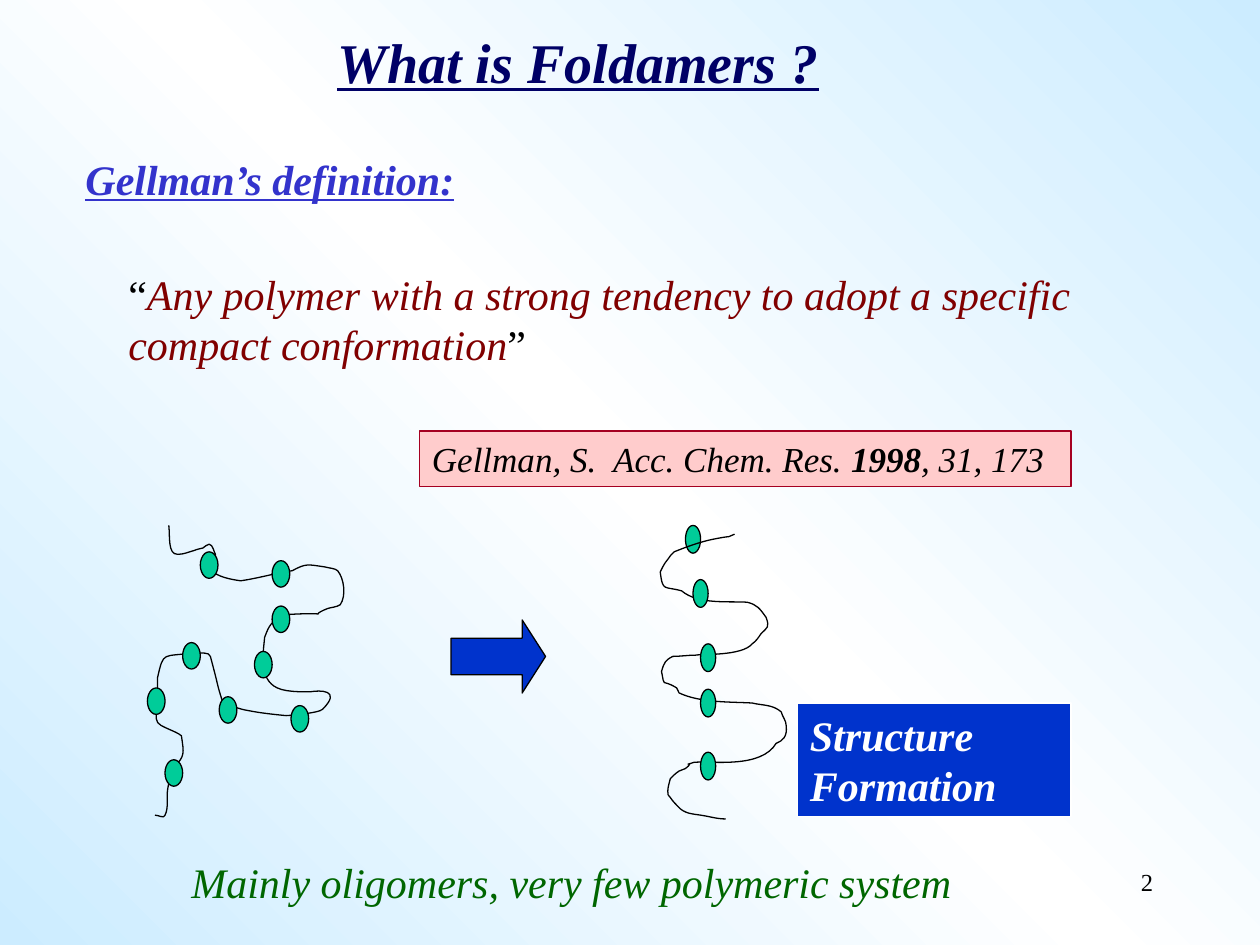
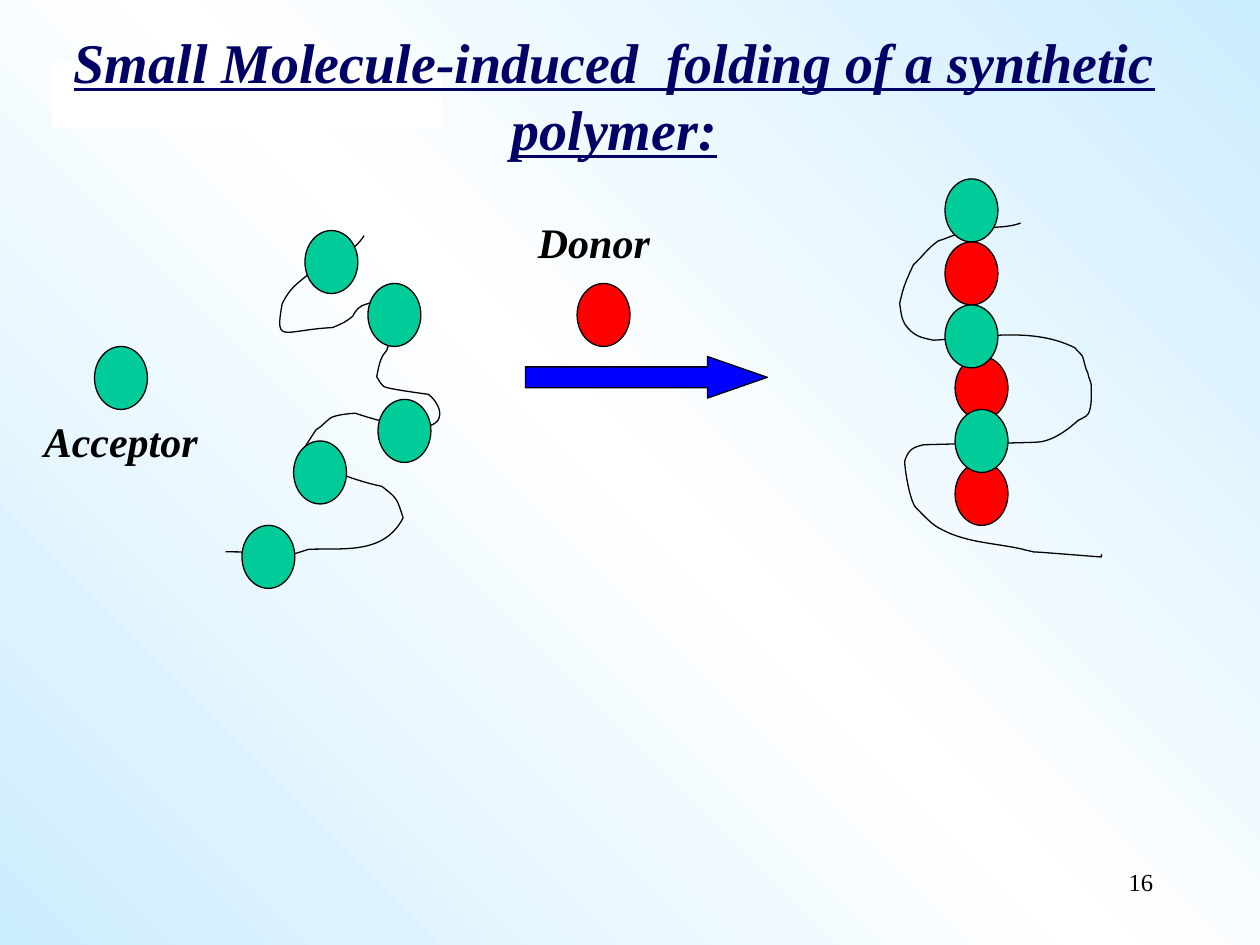
from copy import deepcopy

from lxml import etree
from pptx import Presentation
from pptx.dml.color import RGBColor
from pptx.enum.shapes import MSO_SHAPE
from pptx.enum.text import MSO_ANCHOR, PP_ALIGN
from pptx.oxml.ns import qn
from pptx.util import Inches, Pt

RECTANGLE = MSO_SHAPE.RECTANGLE
OVAL = MSO_SHAPE.OVAL
ARROW = MSO_SHAPE.RIGHT_ARROW
LEFT, CENTER, RIGHT = PP_ALIGN.LEFT, PP_ALIGN.CENTER, PP_ALIGN.RIGHT
TOP = MSO_ANCHOR.TOP

FONT = "Times New Roman"
COLORS = {
    "sky": "CCECFF", "white": "FFFFFF", "black": "000000", "title": "000066",
    "heading": "3333CC", "quote": "800000", "summary": "006600",
    "citation": "FFCCCC", "citation edge": "A50021", "royal": "0033CC",
    "arrow": "0000FF", "acceptor": "00CC99", "donor": "FF0000",
}

# Polymer chains: a start point, then two handles and an end point per curve (x, y)
LOOSE_CHAIN = [
    1.34, 4.17,
    1.35, 4.26, 1.33, 4.4, 1.41, 4.4, 1.46, 4.4, 1.5, 4.38, 1.54, 4.37,
    1.56, 4.36, 1.61, 4.35, 1.61, 4.35, 1.63, 4.34, 1.64, 4.32, 1.66, 4.32,
    1.69, 4.32, 1.7, 4.39, 1.71, 4.4, 1.7, 4.42, 1.7, 4.44, 1.69, 4.47,
    1.69, 4.48, 1.66, 4.5, 1.67, 4.52, 1.72, 4.58, 1.84, 4.6, 1.91, 4.61,
    2.05, 4.59, 2.18, 4.55, 2.32, 4.53, 2.43, 4.47, 2.44, 4.48, 2.58, 4.5,
    2.61, 4.51, 2.66, 4.51, 2.68, 4.53, 2.73, 4.59, 2.75, 4.73, 2.7, 4.8,
    2.67, 4.82, 2.63, 4.82, 2.6, 4.83, 2.4, 4.91, 2.72, 4.85, 2.24, 4.88,
    2.15, 4.95, 2.14, 4.95, 2.1, 5.06, 2.09, 5.18, 2.05, 5.39, 2.2, 5.46,
    2.28, 5.5, 2.47, 5.49, 2.47, 5.49, 2.53, 5.48, 2.72, 5.47, 2.56, 5.63,
    2.53, 5.66, 2.29, 5.68, 2.27, 5.68, 2.17, 5.67, 2.07, 5.66, 1.97, 5.64,
    1.9, 5.63, 1.77, 5.58, 1.77, 5.58, 1.71, 5.39, 1.75, 5.51, 1.67, 5.21,
    1.66, 5.17, 1.59, 5.19, 1.54, 5.18, 1.29, 5.22, 1.3, 5.16, 1.25, 5.38,
    1.26, 5.78, 1.17, 5.71, 1.39, 5.81, 1.41, 5.82, 1.43, 5.83, 1.44, 5.84,
    1.46, 5.98, 1.47, 6, 1.38, 6.09, 1.36, 6.15, 1.34, 6.2, 1.33, 6.27,
    1.32, 6.34, 1.34, 6.41, 1.31, 6.47, 1.3, 6.5, 1.26, 6.47, 1.23, 6.47,
]
FOLDED_CHAIN = [
    5.83, 4.24,
    5.73, 4.28, 5.86, 4.24, 5.66, 4.28, 5.56, 4.3, 5.45, 4.34, 5.35, 4.38,
    5.33, 4.4, 5.31, 4.42, 5.3, 4.44, 5.27, 4.47, 5.24, 4.54, 5.24, 4.54,
    5.26, 4.7, 5.27, 4.65, 5.41, 4.69, 5.54, 4.8, 5.78, 4.77, 5.93, 4.78,
    6.01, 4.8, 6.03, 4.83, 6.08, 4.9, 6.11, 4.98, 6.09, 4.98, 6.04, 5.03,
    6.02, 5.06, 6, 5.09, 5.97, 5.11, 5.89, 5.21, 5.56, 5.19, 5.52, 5.2,
    5.46, 5.2, 5.4, 5.21, 5.34, 5.21, 5.28, 5.24, 5.27, 5.26, 5.25, 5.33,
    5.28, 5.47, 5.24, 5.38, 5.37, 5.46, 5.38, 5.47, 5.38, 5.49, 5.39, 5.5,
    5.56, 5.58, 5.8, 5.57, 5.97, 5.58, 6.05, 5.6, 6.13, 5.59, 6.2, 5.65,
    6.21, 5.69, 6.24, 5.72, 6.24, 5.76, 6.25, 5.85, 6.21, 5.88, 6.16, 5.9,
    6.04, 6.1, 5.66, 6.04, 5.51, 6.05, 5.39, 6.09, 5.53, 6.03, 5.44, 6.1,
    5.42, 6.11, 5.41, 6.11, 5.39, 6.12, 5.36, 6.14, 5.35, 6.15, 5.32, 6.18,
    5.31, 6.22, 5.3, 6.25, 5.3, 6.28, 5.29, 6.3, 5.31, 6.32, 5.32, 6.33,
    5.34, 6.36, 5.36, 6.38, 5.38, 6.4, 5.43, 6.46, 5.5, 6.46, 5.56, 6.47,
    5.63, 6.48, 5.69, 6.5, 5.76, 6.5,
]
ACCEPTOR_CHAIN = [
    2.89, 1.87,
    2.81, 2, 2.65, 2.07, 2.51, 2.12, 2.39, 2.24, 2.32, 2.25, 2.24, 2.41,
    2.18, 2.74, 2.24, 2.62, 2.64, 2.6, 2.71, 2.57, 2.74, 2.56, 2.8, 2.51,
    2.81, 2.49, 2.82, 2.47, 2.84, 2.45, 2.88, 2.41, 2.94, 2.41, 2.99, 2.39,
    3.07, 2.42, 3.1, 2.44, 3.14, 2.51, 3.17, 2.61, 3.15, 2.63, 3.09, 2.72,
    3.08, 2.74, 3.08, 2.76, 3.07, 2.78, 3.06, 2.8, 3.04, 2.81, 3.03, 2.84,
    3.01, 2.88, 3, 2.94, 2.99, 2.99, 3.01, 3.02, 3.02, 3.05, 3.05, 3.07,
    3.1, 3.09, 3.33, 3.12, 3.4, 3.13, 3.47, 3.18, 3.56, 3.33, 3.41, 3.38,
    3.37, 3.39, 3.32, 3.39, 3.28, 3.39, 3.12, 3.37, 2.97, 3.33, 2.82, 3.28,
    2.81, 3.28, 2.66, 3.29, 2.62, 3.32, 2.58, 3.35, 2.55, 3.39, 2.51, 3.41,
    2.49, 3.44, 2.41, 3.56, 2.41, 3.57, 2.42, 3.61, 2.47, 3.64, 2.51, 3.66,
    2.63, 3.75, 2.88, 3.83, 3.03, 3.86, 3.16, 3.96, 3.15, 3.96, 3.2, 4.11,
    3.05, 4.4, 2.74, 4.35, 2.45, 4.36, 2.2, 4.44, 2.41, 4.38, 1.79, 4.38,
]
STACKED_CHAIN = [
    8.1, 1.77,
    7.97, 1.82, 7.82, 1.79, 7.68, 1.83, 7.62, 1.85, 7.56, 1.87, 7.51, 1.89,
    7.49, 1.9, 7.45, 1.91, 7.45, 1.91, 7.36, 1.97, 7.32, 2.04, 7.25, 2.1,
    7.19, 2.23, 7.17, 2.27, 7.14, 2.41, 7.15, 2.46, 7.15, 2.52, 7.18, 2.57,
    7.25, 2.67, 7.31, 2.68, 7.41, 2.7, 7.78, 2.68, 8.19, 2.59, 8.53, 2.76,
    8.61, 2.85, 8.58, 2.79, 8.62, 2.93, 8.63, 2.95, 8.64, 2.97, 8.64, 2.99,
    8.65, 3.01, 8.66, 3.05, 8.66, 3.05, 8.66, 3.12, 8.67, 3.21, 8.64, 3.28,
    8.62, 3.32, 8.56, 3.32, 8.53, 3.36, 8.45, 3.43, 8.33, 3.51, 8.22, 3.51,
    7.92, 3.52, 7.63, 3.52, 7.33, 3.53, 7.24, 3.55, 7.21, 3.57, 7.18, 3.66,
    7.18, 3.72, 7.22, 3.98, 7.27, 4.03, 7.32, 4.08, 7.4, 4.17, 7.47, 4.2,
    7.67, 4.31, 7.91, 4.31, 8.12, 4.36, 8.15, 4.37, 8.17, 4.37, 8.2, 4.38,
    8.24, 4.38, 8.72, 4.42, 8.74, 4.42, 8.75, 4.42, 8.74, 4.4, 8.74, 4.4,
]


def rgb(name):
    return RGBColor.from_string(COLORS[name])


def add_span(para, text, size=24, color="black", bold=False, italic=True, underline=False):
    span = para.add_run()
    span.text = text
    font = span.font
    font.name, font.size = FONT, Pt(size)
    font.bold, font.italic, font.underline = bold, italic, underline
    font.color.rgb = rgb(color)


def bend_segments(outline):
    """Join each three straight segments of a freeform into one cubic curve."""
    segments = outline.findall(qn("a:lnTo"))
    for first in range(0, len(segments), 3):
        curve = etree.SubElement(outline, qn("a:cubicBezTo"))
        for segment in segments[first:first + 3]:
            curve.append(segment[0])
            outline.remove(segment)


class SlideMaker:
    def __init__(self):
        self.deck = Presentation()
        self.deck.slide_width, self.deck.slide_height = Inches(10), Inches(7.5)
        self.page = None
        self.paint_background()

    def paint_background(self):
        master = self.deck.slide_master
        fill = master.background.fill
        fill.gradient()
        fill.gradient_angle = 225
        stop_list = master.element.find(".//" + qn("a:gsLst"))
        stop_list.insert(1, deepcopy(stop_list[0]))
        for stop, color, position in zip(fill.gradient_stops, ("sky", "white", "sky"), (0, 0.5, 1)):
            stop.color.rgb = rgb(color)
            stop.position = position

    def start(self, number):
        self.page = self.deck.slides.add_slide(self.deck.slide_layouts[6])
        self.text((7.17, 6.83, 2.08, 0.5), str(number), align=RIGHT, size=14, italic=False)

    def fill_text(self, box, spans, align=LEFT, **style):
        """Spans are one string, or (text, style changes) pairs."""
        frame = box.text_frame
        frame.word_wrap = True
        frame.vertical_anchor = TOP
        para = frame.paragraphs[0]
        para.alignment = align
        pairs = [(spans, {})] if isinstance(spans, str) else spans
        for text, changes in pairs:
            add_span(para, text, **{**style, **changes})

    def text(self, place, spans, **style):
        box = self.page.shapes.add_textbox(*map(Inches, place))
        self.fill_text(box, spans, **style)

    def title(self, place, text, align=LEFT):
        self.text(place, text, align=align, size=32, color="title", bold=True, underline=True)

    def outline(self, shape, color="black"):
        shape.shadow.inherit = False
        shape.line.color.rgb = rgb(color)
        shape.line.width = Pt(0.75)

    def shape(self, kind, place, fill, line="black"):
        shape = self.page.shapes.add_shape(kind, *map(Inches, place))
        shape.fill.solid()
        shape.fill.fore_color.rgb = rgb(fill)
        self.outline(shape, line)
        return shape

    def panel(self, place, spans, fill, line, **style):
        self.fill_text(self.shape(RECTANGLE, place, fill, line), spans, **style)

    def arrow(self, place, fill, head):
        arrow = self.shape(ARROW, place, fill)
        arrow.adjustments[0], arrow.adjustments[1] = 0.5, head

    def beads(self, corners, width=0.42, height=0.5, fill="acceptor"):
        for left, top in corners:
            self.shape(OVAL, (left, top, width, height), fill)

    def chain(self, numbers):
        lengths = [Inches(number) for number in numbers]
        start, *rest = zip(lengths[::2], lengths[1::2])
        builder = self.page.shapes.build_freeform(*start)
        builder.add_line_segments(rest, close=False)
        chain = builder.convert_to_shape()
        bend_segments(chain.element.find(".//" + qn("a:path")))
        chain.fill.background()
        self.outline(chain)


def build_definition(maker):
    maker.start(2)
    maker.title((2.58, 0.17, 5.17, 0.64), "What is Foldamers ?")
    maker.text((0.58, 1.17, 3.83, 0.5), "Gellman’s definition:",
               color="heading", bold=True, underline=True)
    maker.text((0.92, 2.08, 8.42, 0.9), [
        ("“", {"italic": False}),
        ("Any polymer with a strong tendency to adopt a specific compact conformation",
         {"color": "quote"}),
        ("”", {"italic": False}),
    ])
    maker.panel((3.33, 3.42, 5.17, 0.44), [
        ("Gellman, S.  Acc. Chem. Res. ", {}), ("1998", {"bold": True}), (", 31, 173", {}),
    ], "citation", "citation edge", size=20)
    maker.text((1.42, 6.75, 7.17, 0.5), "Mainly oligomers, very few polymeric system",
               color="summary")

    # Loose polymer
    maker.chain(LOOSE_CHAIN)
    maker.beads([(2.16, 4.45), (2.16, 4.81), (1.45, 5.1), (1.74, 5.53), (2.02, 5.17),
                 (2.31, 5.6), (1.17, 5.46), (1.31, 6.03), (1.59, 4.38)], 0.14, 0.21)

    # Folded polymer, whose first bead lies behind the chain
    maker.beads([(5.44, 4.17)], 0.12, 0.22)
    maker.chain(FOLDED_CHAIN)
    maker.beads([(5.5, 4.6), (5.56, 5.11), (5.56, 5.47), (5.56, 5.97)], 0.12, 0.22)

    maker.arrow((3.58, 4.92, 0.75, 0.58), "royal", head=0.32)
    maker.panel((6.33, 5.58, 2.17, 0.9), "Structure Formation", "royal", "white",
                color="white", bold=True)


def build_induced_folding(maker):
    maker.start(16)
    maker.shape(RECTANGLE, (0.42, 0.5, 3.08, 0.51), "white", "white")

    # Unfolded polymer with acceptor units
    maker.chain(ACCEPTOR_CHAIN)
    maker.beads([(2.42, 1.83), (2.92, 2.25), (3, 3.17), (2.33, 3.5), (1.92, 4.17)])

    # Folded stack of donors and acceptors
    maker.chain(STACKED_CHAIN)
    maker.beads([(7.5, 1.92), (7.58, 2.83), (7.58, 3.67)], fill="donor")
    maker.beads([(7.5, 1.42), (7.5, 2.42), (7.58, 3.25)])

    # Labels and the step between the two states
    maker.arrow((4.17, 2.83, 1.92, 0.33), "arrow", head=1.44)
    maker.beads([(4.58, 2.25)], fill="donor")
    maker.text((4.17, 1.67, 1.58, 0.5), "Donor", bold=True)
    maker.beads([(0.75, 2.75)])
    maker.text((0.25, 3.25, 1.75, 0.5), "Acceptor", bold=True)
    maker.title((0.17, 0.17, 9.41, 1.17),
                "Small Molecule-induced  folding of a synthetic polymer:", align=CENTER)


def main():
    maker = SlideMaker()
    build_definition(maker)
    build_induced_folding(maker)
    maker.deck.save("out.pptx")


if __name__ == "__main__":
    main()
